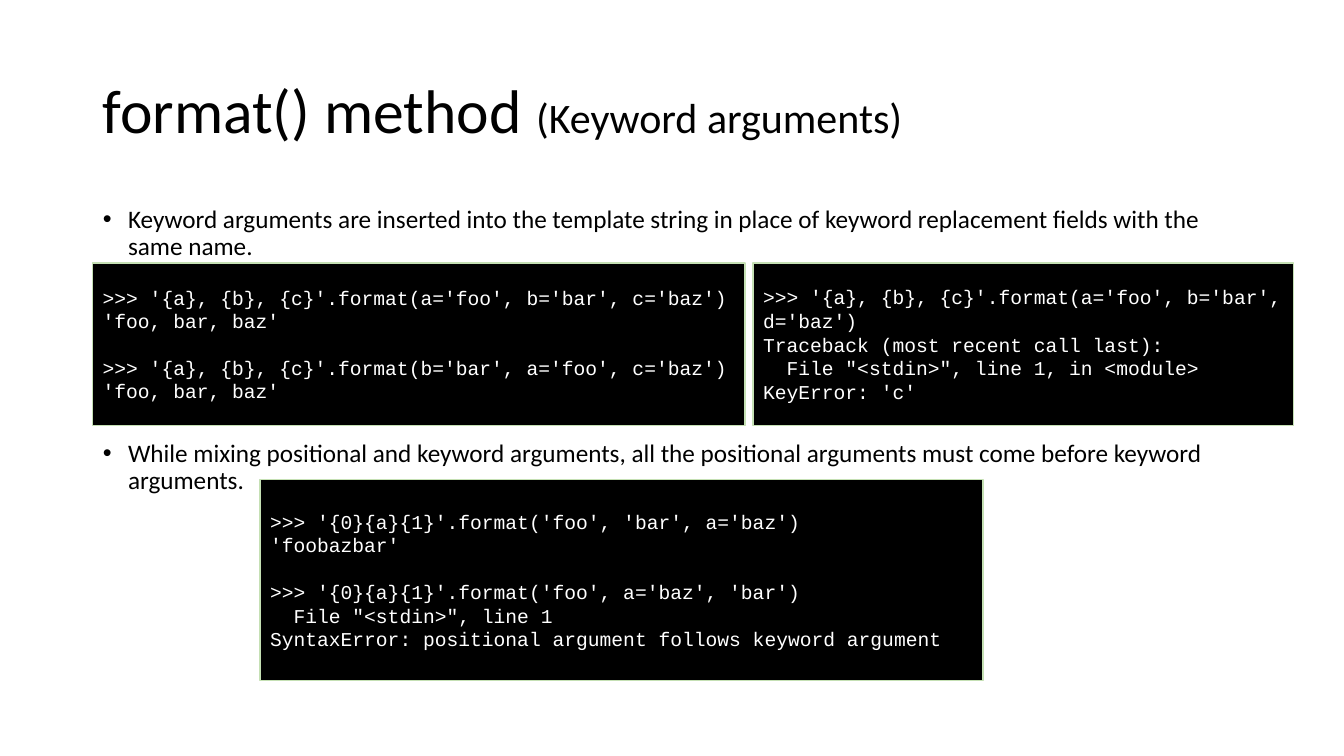
from pptx import Presentation
from pptx.dml.color import RGBColor
from pptx.enum.shapes import MSO_SHAPE
from pptx.enum.text import MSO_ANCHOR, MSO_AUTO_SIZE, PP_ALIGN
from pptx.util import Inches, Pt

RECTANGLE = MSO_SHAPE.RECTANGLE
MIDDLE, TOP = MSO_ANCHOR.MIDDLE, MSO_ANCHOR.TOP
NO_AUTOFIT = MSO_AUTO_SIZE.NONE
LEFT = PP_ALIGN.LEFT

BLACK = RGBColor(0x00, 0x00, 0x00)
WHITE = RGBColor(0xFF, 0xFF, 0xFF)
PALE_GREEN = RGBColor(0xC5, 0xE0, 0xB4)
TEXT_FONT = "Calibri"
CODE_FONT = "Courier New"

MARGIN = 0.92
CONTENT_WIDTH = 11.5
ROW_TOP, ROW_HEIGHT = 2.61, 1.61
CODE_GAP = Pt(16.5)
BULLET_GAPS = [Pt(10), Pt(128)]

TITLE_RUNS = [("format() method ", 44), ("(Keyword arguments)", 30)]
BULLETS = [
    "Keyword arguments are inserted into the template string in place of "
    "keyword replacement fields with the same name.",
    "While mixing positional and keyword arguments, all the positional "
    "arguments must come before keyword arguments.",
]

# Each example is a list of sessions; each session is a list of lines.
ANY_ORDER = [
    [">>> '{a}, {b}, {c}'.format(a='foo', b='bar', c='baz')", "'foo, bar, baz'"],
    [">>> '{a}, {b}, {c}'.format(b='bar', a='foo', c='baz')", "'foo, bar, baz'"],
]
MISSING_KEYWORD = [
    [
        ">>> '{a}, {b}, {c}'.format(a='foo', b='bar', d='baz')",
        "Traceback (most recent call last):",
        "  File \"<stdin>\", line 1, in <module>",
        "KeyError: 'c'",
    ],
]
MIXED_ARGUMENTS = [
    [">>> '{0}{a}{1}'.format('foo', 'bar', a='baz')", "'foobazbar'"],
    [
        ">>> '{0}{a}{1}'.format('foo', a='baz', 'bar')",
        "  File \"<stdin>\", line 1",
        "SyntaxError: positional argument follows keyword argument",
    ],
]


def place(shape, left, top, width, height):
    shape.left, shape.top = Inches(left), Inches(top)
    shape.width, shape.height = Inches(width), Inches(height)


def add_run(para, text, size, font_name, color):
    run = para.add_run()
    run.text = text
    run.font.size = Pt(size)
    run.font.name = font_name
    run.font.color.rgb = color


def add_para(frame, number):
    """Return the frame's first paragraph for number 0, else a new one."""
    para = frame.add_paragraph() if number else frame.paragraphs[0]
    para.alignment = LEFT
    return para


def fill_title(title):
    place(title, MARGIN, 0.4, CONTENT_WIDTH, 1.45)
    frame = title.text_frame
    frame.auto_size = NO_AUTOFIT
    frame.vertical_anchor = MIDDLE
    para = add_para(frame, 0)
    para.line_spacing = 0.9
    for text, size in TITLE_RUNS:
        add_run(para, text, size, TEXT_FONT, BLACK)


def fill_bullets(body):
    place(body, MARGIN, 2, CONTENT_WIDTH, 4.76)
    frame = body.text_frame
    frame.auto_size = NO_AUTOFIT
    frame.vertical_anchor = TOP
    for number, (text, gap) in enumerate(zip(BULLETS, BULLET_GAPS)):
        para = add_para(frame, number)
        para.line_spacing = 0.9
        para.space_before = gap
        properties = para._p.get_or_add_pPr()
        properties.set("marL", str(Inches(0.25)))
        properties.set("indent", str(Inches(-0.25)))
        add_run(para, text, 18, TEXT_FONT, BLACK)


def add_code_box(slide, sessions, left, top, width, height):
    box = slide.shapes.add_shape(
        RECTANGLE, Inches(left), Inches(top), Inches(width), Inches(height)
    )
    box.shadow.inherit = False
    box.fill.solid()
    box.fill.fore_color.rgb = BLACK
    box.line.color.rgb = PALE_GREEN
    box.line.width = Pt(1)
    frame = box.text_frame
    frame.word_wrap = True
    frame.vertical_anchor = MIDDLE
    number = 0
    for session in sessions:
        for line_number, line in enumerate(session):
            para = add_para(frame, number)
            if number and line_number == 0:
                para.space_before = CODE_GAP
            add_run(para, line, 14, CODE_FONT, WHITE)
            number += 1


def main():
    deck = Presentation()
    deck.slide_width, deck.slide_height = Inches(13.33), Inches(7.5)
    slide = deck.slides.add_slide(deck.slide_layouts[1])
    fill_title(slide.shapes.title)
    fill_bullets(slide.placeholders[1])
    add_code_box(slide, ANY_ORDER, MARGIN, ROW_TOP, 6.47, ROW_HEIGHT)
    add_code_box(slide, MISSING_KEYWORD, 7.47, ROW_TOP, 5.36, ROW_HEIGHT)
    add_code_box(slide, MIXED_ARGUMENTS, 2.58, 4.76, 7.17, 1.99)
    deck.save("out.pptx")


if __name__ == "__main__":
    main()
